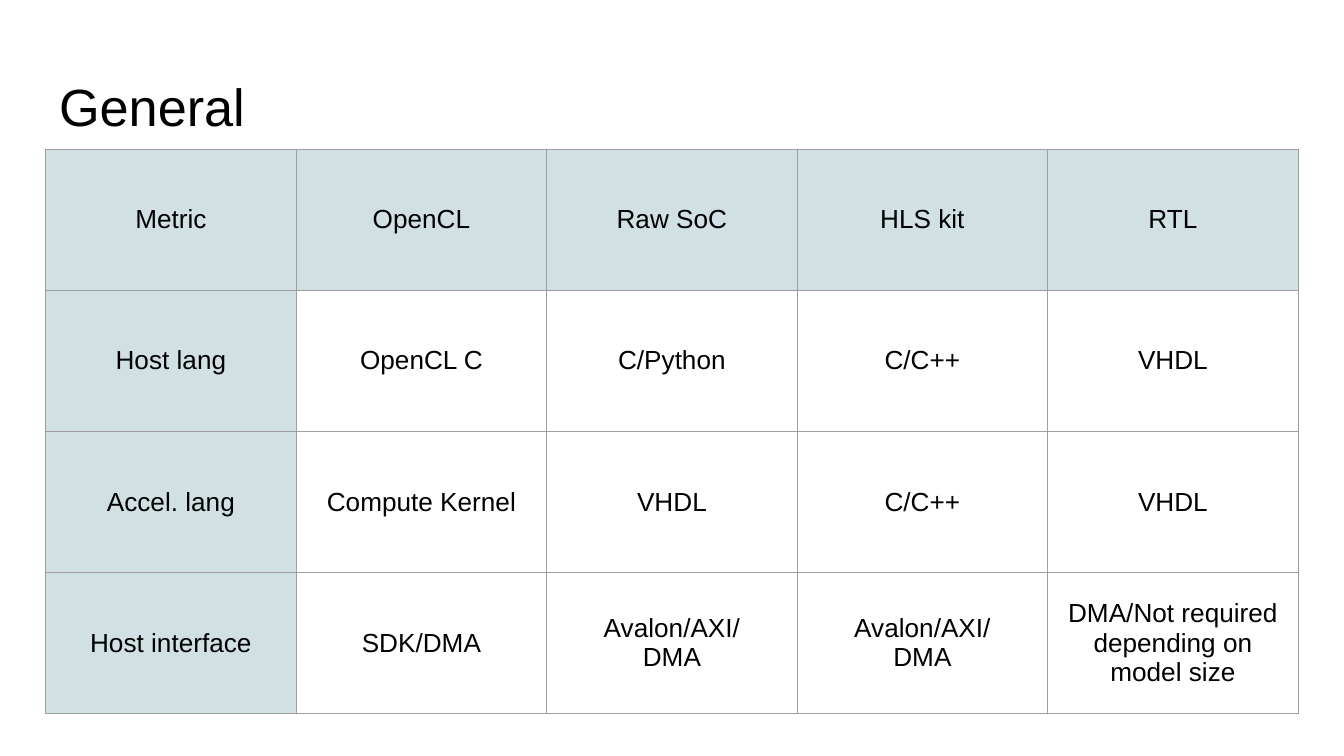
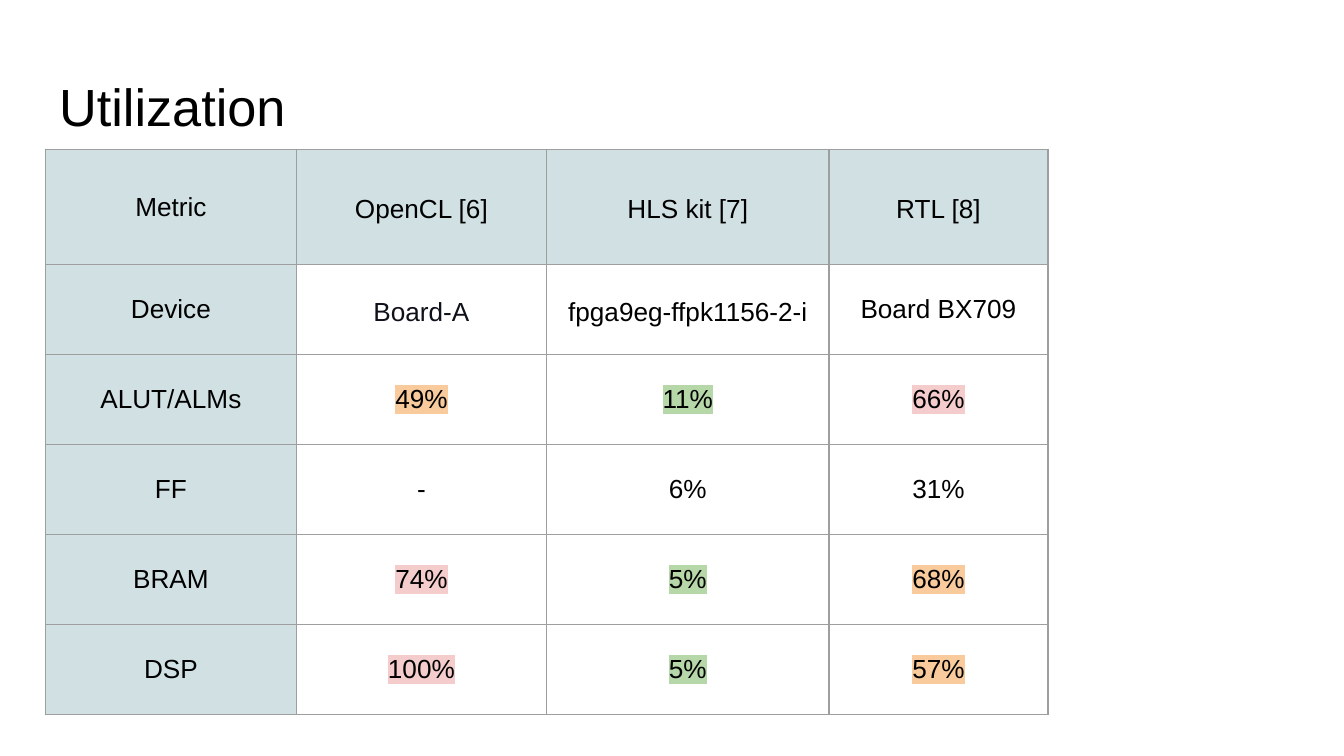
from lxml import etree
from pptx import Presentation
from pptx.dml.color import RGBColor
from pptx.enum.text import MSO_ANCHOR, MSO_AUTO_SIZE, PP_ALIGN
from pptx.oxml.ns import qn
from pptx.util import Inches, Pt

LEFT, CENTER = PP_ALIGN.LEFT, PP_ALIGN.CENTER
MIDDLE, BOTTOM = MSO_ANCHOR.MIDDLE, MSO_ANCHOR.BOTTOM

BLACK = RGBColor(0x00, 0x00, 0x00)
INK = RGBColor(0x0E, 0x10, 0x1A)
HEAD = RGBColor(0xD0, 0xE0, 0xE3)
WHITE = RGBColor(0xFF, 0xFF, 0xFF)
GREY = RGBColor(0x9E, 0x9E, 0x9E)
GREEN = RGBColor(0xB6, 0xD7, 0xA8)
ORANGE = RGBColor(0xF9, 0xCB, 0x9C)
RED = RGBColor(0xF4, 0xCC, 0xCC)
RANKS = (GREEN, ORANGE, RED)

FONT = "Arial"
WIDE, HIGH = Inches(10), Inches(5.625)
EDGE = Inches(0.34)
TOP = Inches(1.11)
PAD = Inches(0.1)
COL = (WIDE - 2 * EDGE) // 5


def write(frame, text, size=14, color=BLACK, align=CENTER, space=None, mark=None):
    """Fill a text frame, one paragraph per line; mark is a highlight colour."""
    frame.text = text
    for para in frame.paragraphs:
        para.alignment = align
        if space:
            para.line_spacing = space
        for run in para.runs:
            font = run.font
            font.name, font.size, font.bold = FONT, Pt(size), False
            font.color.rgb = color
            if mark:
                light = etree.Element(qn("a:highlight"))
                etree.SubElement(light, qn("a:srgbClr"), val=str(mark))
                run._r.rPr.find(qn("a:solidFill")).addnext(light)


def frame_cell(cell):
    """Draw a thin grey line on all four sides of a table cell."""
    props = cell._tc.get_or_add_tcPr()
    for spot, side in enumerate(("lnL", "lnR", "lnT", "lnB")):
        line = etree.Element(qn("a:" + side), w=str(Pt(0.75)))
        fill = etree.SubElement(line, qn("a:solidFill"))
        etree.SubElement(fill, qn("a:srgbClr"), val=str(GREY))
        props.insert(spot, line)


BUS = "Avalon/AXI/\nDMA"
PAGES = [
    {
        "title": "General",
        "cols": [COL] * 5,
        "rows": [1.05] * 4,
        "loose": (),
        "ranked": (),
        "cells": [
            ["Metric", "OpenCL", "Raw SoC", "HLS kit", "RTL"],
            ["Host lang", "OpenCL C", "C/Python", "C/C++", "VHDL"],
            ["Accel. lang", "Compute Kernel", "VHDL", "C/C++", "VHDL"],
            ["Host interface", "SDK/DMA", BUS, BUS,
             "DMA/Not required depending on model size"],
        ],
    },
    {
        "title": "Utilization",
        "cols": [COL, COL, Inches(2.1), Inches(1.63)],
        "rows": [0.86] + [0.67] * 5,
        "loose": ((0, 1), (0, 2), (0, 3), (1, 1), (1, 2)),
        "ranked": ("ALUT/ALMs", "BRAM", "DSP"),
        "cells": [
            ["Metric", "OpenCL [6]", "HLS kit [7]", "RTL [8]"],
            ["Device", "Board-A", "fpga9eg-ffpk1156-2-i", "Board BX709"],
            ["ALUT/ALMs", "49%", "11%", "66%"],
            ["FF", "-", "6%", "31%"],
            ["BRAM", "74%", "5%", "68%"],
            ["DSP", "100%", "5%", "57%"],
        ],
    },
]

deck = Presentation()
deck.slide_width, deck.slide_height = WIDE, HIGH
layout = deck.slide_layouts[5]

for page in PAGES:
    slide = deck.slides.add_slide(layout)
    title = slide.shapes.title
    title.left, title.top = EDGE, Inches(0.49)
    title.width, title.height = WIDE - 2 * EDGE, Inches(0.63)
    frame = title.text_frame
    frame.margin_left = frame.margin_right = PAD
    frame.margin_top = frame.margin_bottom = PAD
    frame.auto_size = MSO_AUTO_SIZE.NONE
    frame.vertical_anchor = BOTTOM
    write(frame, page["title"], size=28, align=LEFT)

    cols, rows, cells = page["cols"], page["rows"], page["cells"]
    table = slide.shapes.add_table(
        len(rows), len(cols), EDGE, TOP, sum(cols), Inches(sum(rows))).table
    table.first_row = table.horz_banding = False
    for col, width in zip(table.columns, cols):
        col.width = width
    for row, height in zip(table.rows, rows):
        row.height = Inches(height)

    for r, line in enumerate(cells):
        marks = {}
        if line[0] in page["ranked"]:
            order = sorted(line[1:], key=lambda share: int(share.rstrip("%")))
            marks = dict(zip(order, RANKS))
        for c, text in enumerate(line):
            cell = table.cell(r, c)
            cell.margin_left = cell.margin_right = PAD
            cell.margin_top = cell.margin_bottom = PAD
            cell.vertical_anchor = MIDDLE
            cell.fill.solid()
            cell.fill.fore_color.rgb = HEAD if r == 0 or c == 0 else WHITE
            frame_cell(cell)
            write(cell.text_frame, text,
                  color=INK if text == "Board-A" else BLACK,
                  space=1.15 if (r, c) in page["loose"] else None,
                  mark=marks.get(text))

deck.save("out.pptx")
